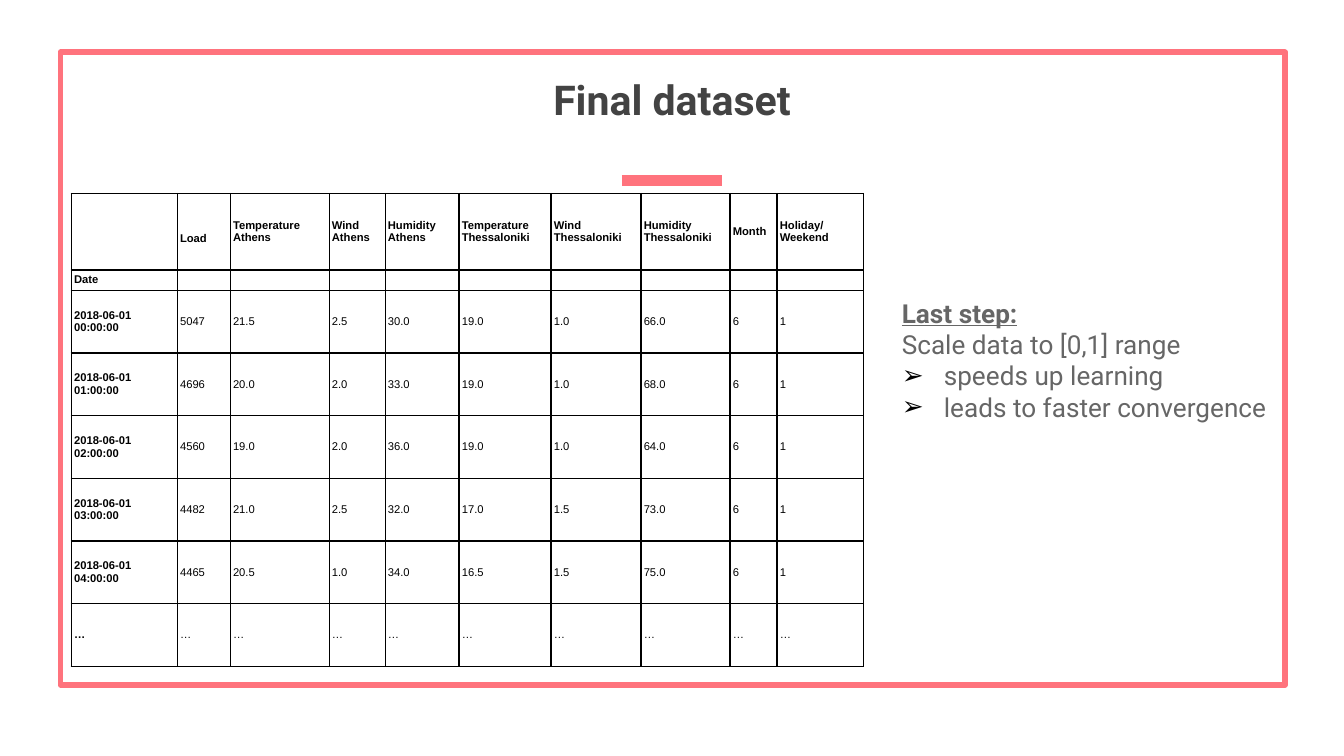
from lxml import etree
from pptx import Presentation
from pptx.dml.color import RGBColor
from pptx.enum import shapes, text
from pptx.oxml import ns
from pptx.util import Pt

PINK, WHITE, BLACK = "FF737D", "FFFFFF", "000000"
WIDTHS = [56.8, 28.4, 53, 30, 39.6, 49.3, 48.2, 47.7, 25.2, 46.1]
HEIGHTS = [41, 10.8] + [33.6] * 6
# \v is a line break, \n a new paragraph
ROWS = [
    ["", "\vLoad", "Temperature Athens", "Wind\nAthens", "Humidity Athens",
     "Temperature Thessaloniki", "Wind\nThessaloniki",
     "Humidity Thessaloniki", "Month", "Holiday/ Weekend"],
    ["Date"] + [""] * 9,
    ["2018-06-01 00:00:00", "5047", "21.5", "2.5", "30.0", "19.0", "1.0", "66.0", "6", "1"],
    ["2018-06-01 01:00:00", "4696", "20.0", "2.0", "33.0", "19.0", "1.0", "68.0", "6", "1"],
    ["2018-06-01 02:00:00", "4560", "19.0", "2.0", "36.0", "19.0", "1.0", "64.0", "6", "1"],
    ["2018-06-01 03:00:00", "4482", "21.0", "2.5", "32.0", "17.0", "1.5", "73.0", "6", "1"],
    ["2018-06-01 04:00:00", "4465", "20.5", "1.0", "34.0", "16.5", "1.5", "75.0", "6", "1"],
    ["…"] * 10,
]


def rgb(code):
    return RGBColor.from_string(code)


def node(parent, tag, **attrs):
    return etree.SubElement(parent, ns.qn(tag), attrs)


def style(obj, color=None, **values):
    for name, value in values.items():
        setattr(obj, name, value)
    if color:
        obj.color.rgb = rgb(color)


def place(shape, box):
    for name, value in zip(("left", "top", "width", "height"), box):
        setattr(shape, name, Pt(value))


def frame(slide, box):
    rect = slide.shapes.add_shape(shapes.MSO_SHAPE.RECTANGLE, *map(Pt, box))
    rect.shadow.inherit = False
    rect.fill.background()
    style(rect.line, PINK, width=Pt(3))


def heading(slide, box):
    title = slide.shapes.title
    place(title, box)
    body = title.text_frame
    style(body, vertical_anchor=text.MSO_ANCHOR.MIDDLE, word_wrap=True,
          auto_size=text.MSO_AUTO_SIZE.NONE)
    para = body.paragraphs[0]
    para.alignment = text.PP_ALIGN.CENTER
    run = para.add_run()
    run.text = "Final dataset"
    style(run.font, "434343", size=Pt(22), name="Roboto", bold=True)
    # Accent bar under the title
    left, top, width, height = box
    mid, base = left + width / 2, top + height + 7.2
    bar = slide.shapes.add_connector(
        shapes.MSO_CONNECTOR.STRAIGHT,
        Pt(mid - 26.8), Pt(base), Pt(mid + 26.8), Pt(base))
    style(bar.line, PINK, width=Pt(6))
    node(bar._element.spPr, "a:effectLst")


def border(cell):
    props = cell._tc.get_or_add_tcPr()
    for side in ("a:lnL", "a:lnR", "a:lnT", "a:lnB"):
        line = node(props, side, w=str(Pt(0.75)))
        node(node(line, "a:solidFill"), "a:srgbClr", val=BLACK)


def fill_cell(cell, words, bold):
    border(cell)
    cell.fill.solid()
    cell.fill.fore_color.rgb = rgb(WHITE)
    edge = Pt(1.5)
    style(cell, vertical_anchor=text.MSO_ANCHOR.MIDDLE, margin_left=edge,
          margin_right=edge, margin_top=edge, margin_bottom=edge)
    cell.text_frame.text = words
    for para in cell.text_frame.paragraphs:
        for run in para.runs:
            style(run.font, BLACK, size=Pt(6), name="Arial", bold=bold)
        for gap in para._p.findall(ns.qn("a:br")):
            node(gap, "a:rPr", sz="600")
        if not para.runs:
            node(para._p, "a:endParaRPr", sz="600")


def data(slide, box):
    grid = slide.shapes.add_table(len(ROWS), len(WIDTHS), *map(Pt, box)).table
    grid.first_row = grid.horz_banding = False
    for col, width in zip(grid.columns, WIDTHS):
        col.width = Pt(width)
    for row, height in zip(grid.rows, HEIGHTS):
        row.height = Pt(height)
    for i, row in enumerate(ROWS):
        for j, words in enumerate(row):
            fill_cell(grid.cell(i, j), words, bold=i < 2 or j == 0)


def steps(slide, box):
    holder = slide.placeholders[1]
    place(holder, box)
    body = holder.text_frame
    style(body, word_wrap=True, auto_size=text.MSO_AUTO_SIZE.NONE,
          vertical_anchor=text.MSO_ANCHOR.TOP)
    lines = [("Last step:", True, False),
             ("Scale data to [0,1] range", False, False),
             ("speeds up learning", False, True),
             ("leads to faster convergence", False, True)]
    body.text = "\n".join(words for words, _, _ in lines)
    for para, (_, strong, listed) in zip(body.paragraphs, lines):
        para.space_before = Pt(0)
        props = para._p.get_or_add_pPr()
        indent = Pt(22.5) if listed else 0
        props.set("marL", str(indent))
        props.set("indent", str(-indent))
        if listed:
            node(node(props, "a:buClr"), "a:srgbClr", val=BLACK)
            node(props, "a:buChar", char="➢")
        else:
            node(props, "a:buNone")
        style(para.runs[0].font, "666666", size=Pt(14), name="Roboto",
              bold=strong, underline=strong)


def main():
    deck = Presentation()
    style(deck, slide_width=Pt(720), slide_height=Pt(405))
    slide = deck.slides.add_slide(deck.slide_layouts[1])
    frame(slide, (32.4, 28, 656, 339))
    heading(slide, (0, 17.3, 720, 72))
    data(slide, (38.2, 103.7, sum(WIDTHS), sum(HEIGHTS)))
    steps(slide, (475.9, 155.5, 219, 75))
    deck.save("out.pptx")


if __name__ == "__main__":
    main()
